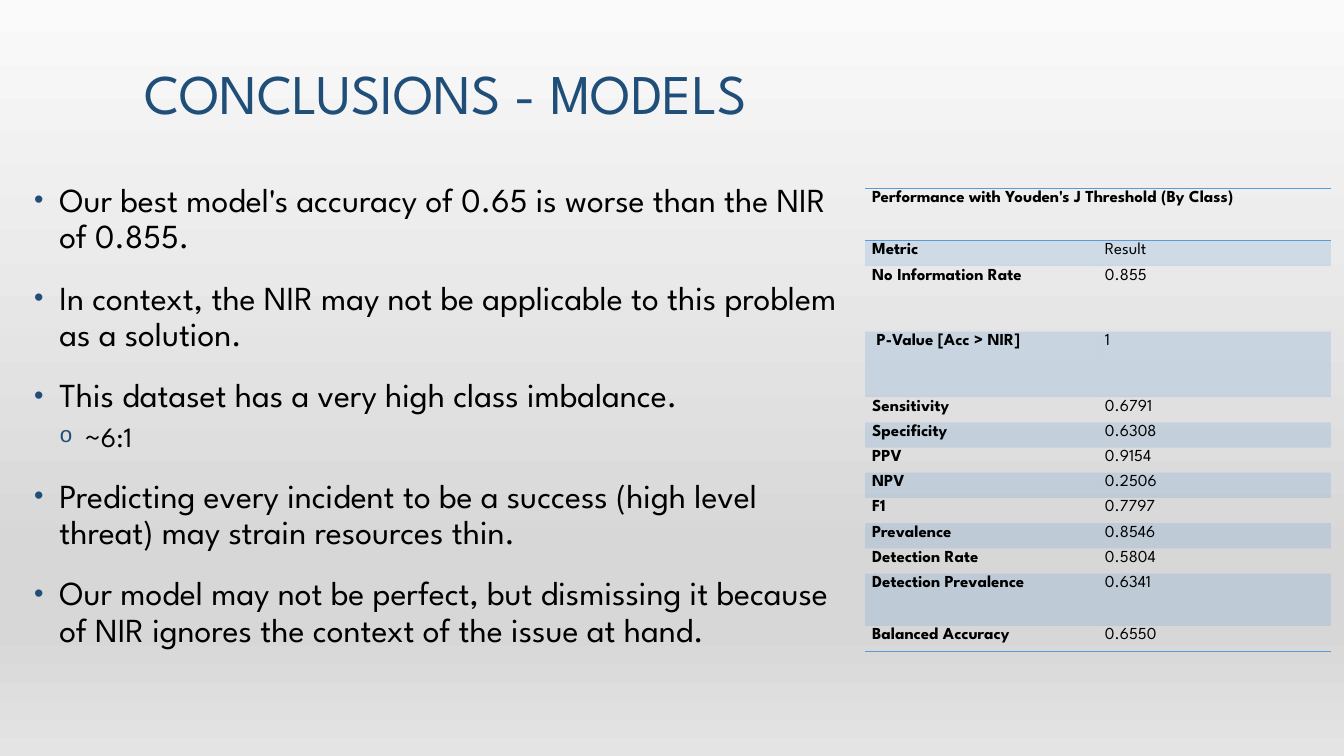
from dataclasses import dataclass
from typing import Any

from lxml.etree import SubElement
from pptx import Presentation
from pptx.dml.color import RGBColor
from pptx.enum.text import MSO_ANCHOR as Anchor, MSO_AUTO_SIZE as AutoSize, PP_ALIGN as Align
from pptx.oxml import parse_xml
from pptx.oxml.ns import nsdecls, qn
from pptx.util import Inches, Pt


@dataclass(frozen=True)
class Theme:
    font: str = "League Spartan"
    navy: str = "1F4E79"
    black: str = "000000"
    blue: str = "5B9BD5"
    background: tuple = ((0, "FAFAFA"), (74, "D7D7D7"), (83, "D7D7D7"), (100, "E4E4E4"))
    title_size: int = 40
    body_sizes: tuple = (24, 20)
    table_size: int = 12
    band_opacity: int = 20


@dataclass(frozen=True)
class Bullet:
    text: str
    level: int = 0


@dataclass(frozen=True)
class BulletStyle:
    symbol: str
    indent: float
    space_before: int


@dataclass(frozen=True)
class Metric:
    name: str
    result: str
    height: float = 0.25


THEME = Theme()
BULLET_STYLES = (BulletStyle("•", 0.3, 18), BulletStyle("o", 0.55, 6))
HANGING = 0.25

BULLETS = (
    Bullet("Our best model's accuracy of 0.65 is worse than the NIR of 0.855."),
    Bullet("In context, the NIR may not be applicable to this problem as a solution."),
    Bullet("This dataset has a very high class imbalance."),
    Bullet("~6:1", 1),
    Bullet("Predicting every incident to be a success (high level threat) may strain resources thin."),
    Bullet("Our model may not be perfect, but dismissing it because of NIR ignores "
           "the context of the issue at hand."),
)

METRICS = (
    Metric("Performance with Youden's J Threshold (By Class)", "", 0.52),
    Metric("Metric", "Result"),
    Metric("No Information Rate", "0.855", 0.65),
    Metric(" P-Value [Acc > NIR]", "1", 0.65),
    Metric("Sensitivity", "0.6791"),
    Metric("Specificity", "0.6308"),
    Metric("PPV", "0.9154"),
    Metric("NPV", "0.2506"),
    Metric("F1", "0.7797"),
    Metric("Prevalence", "0.8546"),
    Metric("Detection Rate", "0.5804"),
    Metric("Detection Prevalence", "0.6341", 0.52),
    Metric("Balanced Accuracy", "0.6550"),
)


def set_attributes(target: Any, values: dict) -> None:
    for name, value in values.items():
        setattr(target, name, value)


def write(paragraph: Any, text: str, size: int, color: str, bold: bool = False) -> None:
    run = paragraph.add_run()
    run.text = text
    set_attributes(run.font, {"name": THEME.font, "size": Pt(size), "bold": bold})
    run.font.color.rgb = RGBColor.from_string(color)


def paint_background(slide: Any) -> None:
    fill = slide.background.fill
    fill.gradient()
    fill.gradient_angle = 270
    stops = next(slide.element.iter(qn("a:gsLst")))
    for stop in list(stops):
        stops.remove(stop)
    for position, color in THEME.background:
        stop = SubElement(stops, qn("a:gs"), pos=str(position * 1000))
        SubElement(stop, qn("a:srgbClr"), val=color)


def draw_title(slide: Any, text: str) -> None:
    title = slide.shapes.title
    set_attributes(title, {"left": Inches(1.33), "top": Inches(0.52),
                           "width": Inches(10.67), "height": Inches(0.79)})
    set_attributes(title.text_frame, {"vertical_anchor": Anchor.BOTTOM, "word_wrap": True,
                                      "auto_size": AutoSize.NONE})
    paragraph = title.text_frame.paragraphs[0]
    set_attributes(paragraph, {"alignment": Align.LEFT, "line_spacing": 0.9})
    write(paragraph, text, THEME.title_size, THEME.navy)


def add_bullet(paragraph: Any, style: BulletStyle) -> None:
    properties = paragraph._p.get_or_add_pPr()
    properties.set("marL", str(Inches(style.indent)))
    properties.set("indent", str(-Inches(HANGING)))
    color = SubElement(properties, qn("a:buClr"))
    SubElement(color, qn("a:srgbClr"), val=THEME.navy)
    SubElement(properties, qn("a:buSzPct"), val="80000")
    SubElement(properties, qn("a:buFont"), typeface="Arial" if style.symbol == "•" else "Courier New")
    SubElement(properties, qn("a:buChar"), char=style.symbol)


def draw_bullets(slide: Any, bullets: tuple[Bullet, ...]) -> None:
    box = slide.shapes.add_textbox(Inches(0.19), Inches(1.77), Inches(8.22), Inches(5.34))
    frame = box.text_frame
    frame.word_wrap = True
    for index, bullet in enumerate(bullets):
        paragraph = frame.add_paragraph() if index else frame.paragraphs[0]
        style = BULLET_STYLES[bullet.level]
        set_attributes(paragraph, {"level": bullet.level, "line_spacing": 0.9,
                                   "space_before": Pt(style.space_before)})
        add_bullet(paragraph, style)
        write(paragraph, bullet.text, THEME.body_sizes[bullet.level], THEME.black)


def add_border(cell: Any, side: str) -> None:
    border = parse_xml(
        f'<a:ln{side} {nsdecls("a")} w="{Pt(1)}"><a:solidFill>'
        f'<a:srgbClr val="{THEME.blue}"/></a:solidFill></a:ln{side}>')
    cell._tc.get_or_add_tcPr().insert(0, border)


def fill_cell(cell: Any, banded: bool) -> None:
    if not banded:
        cell.fill.background()
        return
    cell.fill.solid()
    cell.fill.fore_color.rgb = RGBColor.from_string(THEME.blue)
    color = next(cell._tc.tcPr.iter(qn("a:srgbClr")))
    SubElement(color, qn("a:alpha"), val=str(THEME.band_opacity * 1000))


def draw_table(slide: Any, metrics: tuple[Metric, ...]) -> None:
    height = sum(metric.height for metric in metrics)
    table = slide.shapes.add_table(len(metrics), 2, Inches(8.58), Inches(1.87),
                                   Inches(4.62), Inches(height)).table
    set_attributes(table, {"first_row": False, "horz_banding": False})
    next(table._tbl.iter(qn("a:tableStyleId"))).text = "{2D5ABB26-0587-4C30-8999-92F81FD0307C}"
    last = len(metrics) - 1
    for row, metric in enumerate(metrics):
        table.rows[row].height = Inches(metric.height)
        sides = {0: ("B", "T"), last: ("B",)}.get(row, ())
        for column, text in enumerate((metric.name, metric.result)):
            cell = table.cell(row, column)
            set_attributes(cell, {"margin_left": Inches(0.07), "margin_right": Inches(0.07),
                                  "margin_top": 0, "margin_bottom": 0})
            fill_cell(cell, row % 2 == 1)
            for side in sides:
                add_border(cell, side)
            if text:
                paragraph = cell.text_frame.paragraphs[0]
                set_attributes(paragraph, {"line_spacing": 1.15, "space_after": Pt(8)})
                write(paragraph, text, THEME.table_size, THEME.black, bold=column == 0)
    table.cell(0, 0).merge(table.cell(0, 1))


def main() -> None:
    presentation = Presentation()
    set_attributes(presentation, {"slide_width": Inches(13.33), "slide_height": Inches(7.5)})
    slide = presentation.slides.add_slide(presentation.slide_layouts[5])
    paint_background(slide)
    draw_title(slide, "CONCLUSIONS - MODELS")
    draw_bullets(slide, BULLETS)
    draw_table(slide, METRICS)
    presentation.save("out.pptx")


if __name__ == "__main__":
    main()
